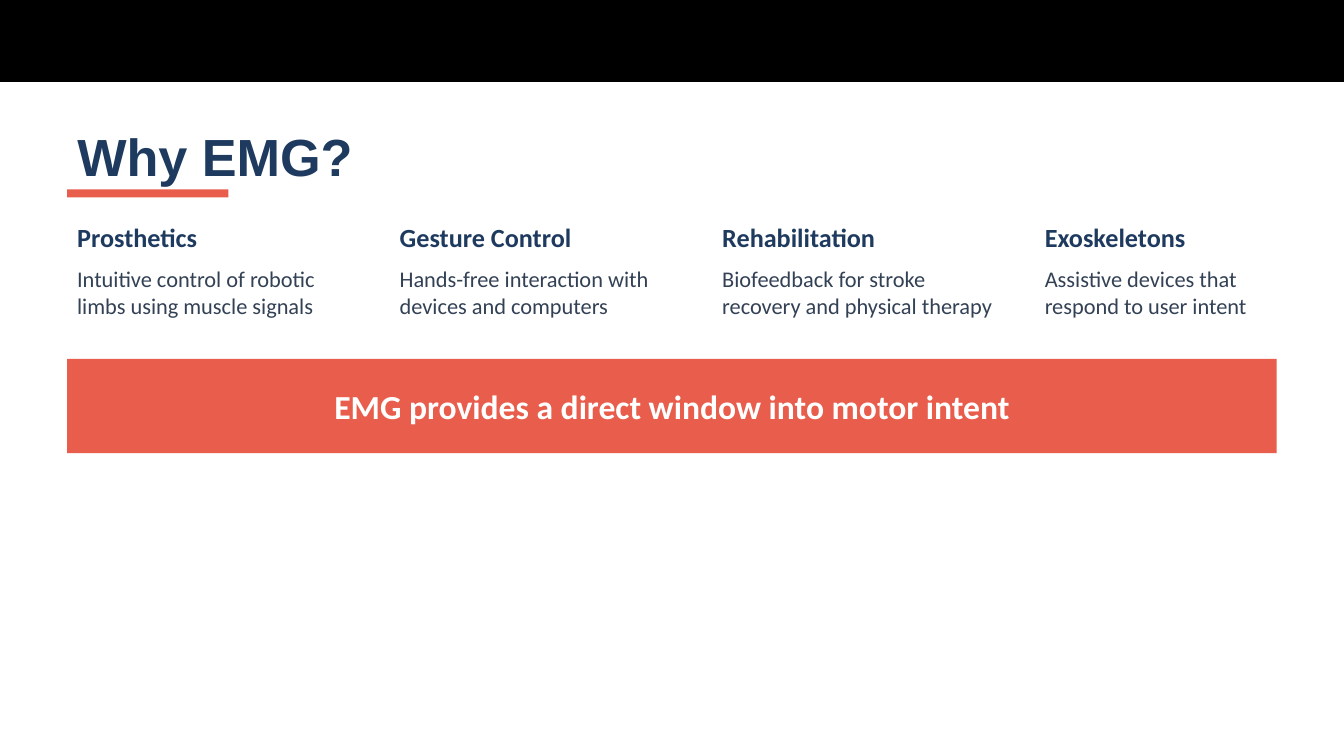
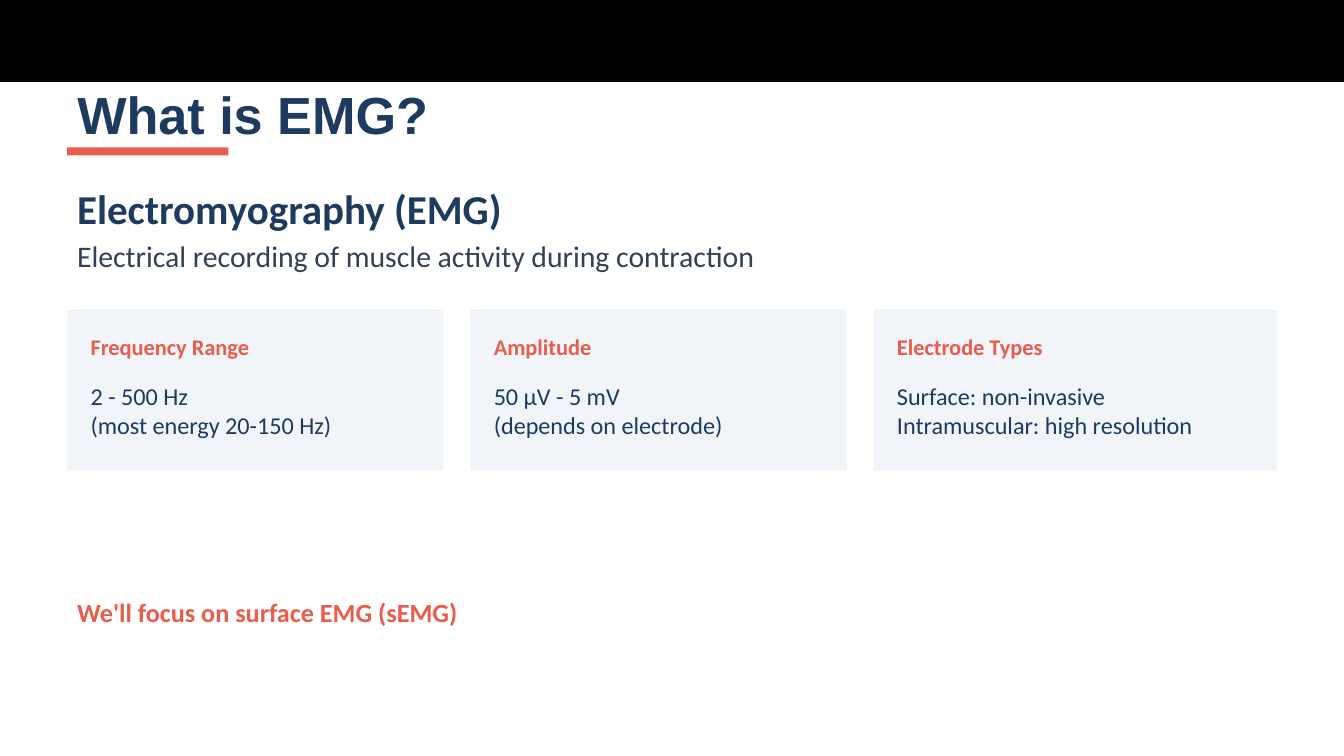
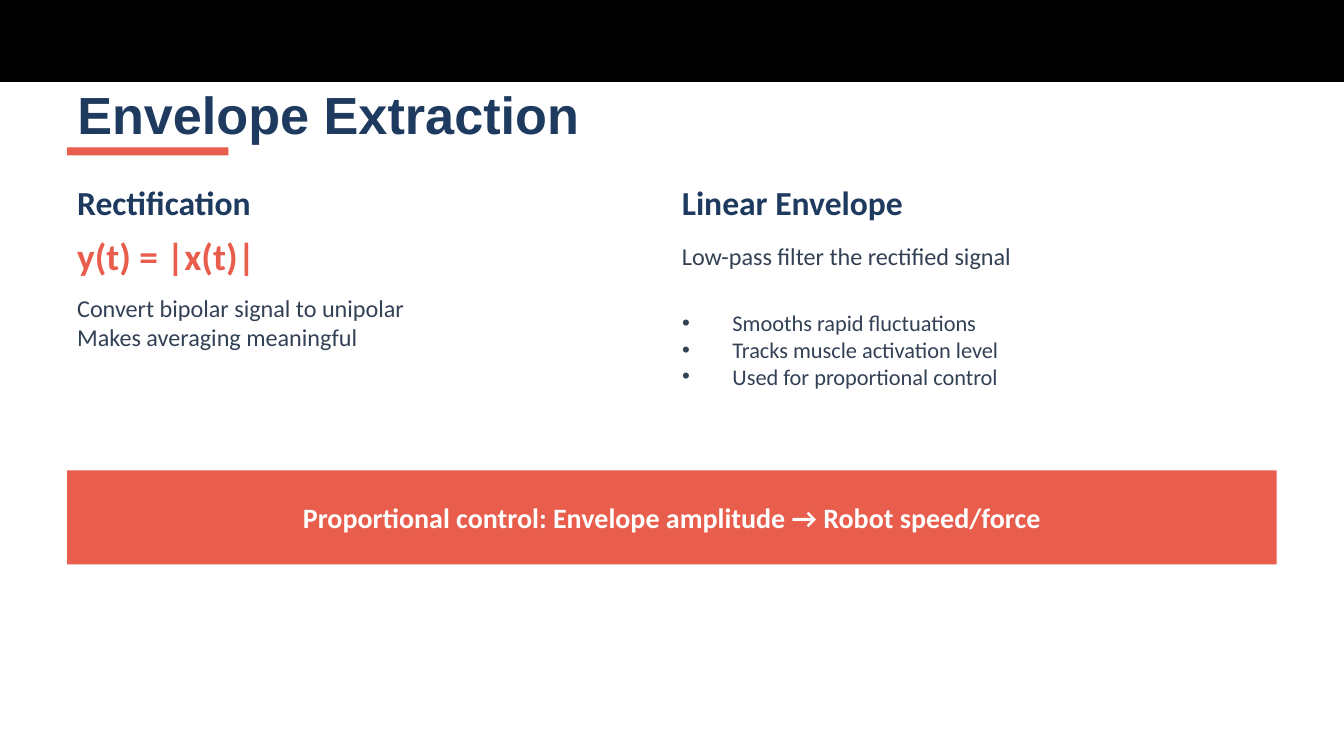
from pptx import Presentation
from pptx.dml.color import RGBColor
from pptx.enum.shapes import MSO_SHAPE
from pptx.enum.text import MSO_ANCHOR, MSO_AUTO_SIZE, PP_ALIGN
from pptx.util import Pt

RECTANGLE = MSO_SHAPE.RECTANGLE
MIDDLE = MSO_ANCHOR.MIDDLE
NO_AUTOFIT = MSO_AUTO_SIZE.NONE
LEFT, CENTER = PP_ALIGN.LEFT, PP_ALIGN.CENTER

NAVY, CORAL, SLATE = "1E3A5F", "E85D4C", "334155"
MIST, WHITE, BLACK = "F1F5F9", "FFFFFF", "000000"

PAGE_WIDTH, PAGE_HEIGHT = 960, 540
MARGIN = 48
CONTENT_WIDTH = PAGE_WIDTH - 2 * MARGIN
TITLE_LAYOUT, LIST_LAYOUT = 5, 1


def color(hex_text):
    return RGBColor.from_string(hex_text)


def write(box, text, size=16, ink=SLATE, bold=False, font="Calibri", align=LEFT):
    """Fill a shape with one paragraph per line of text."""
    frame = box.text_frame
    frame.word_wrap = True
    frame.auto_size = NO_AUTOFIT
    frame.vertical_anchor = MIDDLE
    for index, line in enumerate(text.split("\n")):
        para = frame.add_paragraph() if index else frame.paragraphs[0]
        para.alignment = align
        para.space_before = Pt(0)
        span = para.add_run()
        span.text = line
        span.font.name = font
        span.font.size = Pt(size)
        span.font.bold = bold
        span.font.color.rgb = color(ink)


def place(box, left, top, width, height):
    box.left, box.top = Pt(left), Pt(top)
    box.width, box.height = Pt(width), Pt(height)


class SlideBuilder:
    def __init__(self):
        self.deck = Presentation()
        self.deck.slide_width = Pt(PAGE_WIDTH)
        self.deck.slide_height = Pt(PAGE_HEIGHT)
        self.page = None

    def add_page(self, title, top=52.6, layout=TITLE_LAYOUT):
        """Start a slide with the top band, its title and the underline."""
        self.page = self.deck.slides.add_slide(self.deck.slide_layouts[layout])
        self.rectangle(0, 0, PAGE_WIDTH, 58.5, BLACK)
        heading = self.page.shapes.title
        place(heading, MARGIN, top, CONTENT_WIDTH, 57.6)
        write(heading, title, size=37.3, ink=NAVY, bold=True, font="Arial")
        # The band was drawn after the placeholder; bring the title above it.
        self.page.shapes.element.append(heading.element)
        self.rectangle(MARGIN, top + 52.6, 115.2, 5.76, CORAL)

    def rectangle(self, left, top, width, height, fill):
        box = self.page.shapes.add_shape(
            RECTANGLE, Pt(left), Pt(top), Pt(width), Pt(height))
        box.shadow.inherit = False
        box.fill.solid()
        box.fill.fore_color.rgb = color(fill)
        box.line.fill.background()
        return box

    def text(self, text, left, top, width, height, **style):
        box = self.page.shapes.add_textbox(
            Pt(left), Pt(top), Pt(width), Pt(height))
        write(box, text, **style)

    def banner(self, text, top, size):
        box = self.rectangle(MARGIN, top, CONTENT_WIDTH, 67.2, CORAL)
        write(box, text, size=size, ink=WHITE, bold=True, align=CENTER)

    def bullets(self, text, left, top, width, height, **style):
        box = self.page.placeholders[1]
        place(box, left, top, width, height)
        write(box, text, **style)
        for properties in box.element.xpath(".//a:pPr"):
            properties.set("marL", str(Pt(36)))
            properties.set("indent", str(-Pt(36)))

    def card(self, label, text, left, top, width):
        pad = 9.6
        inner = width - 2 * pad
        self.rectangle(left, top, width, 115.2, MIST)
        self.text(label, left + pad, top + pad, inner, 33.6, ink=CORAL, bold=True)
        self.text(text, left + pad, top + 38.4, inner, 67.2, size=17.3, ink=NAVY)


def build_why(slides):
    slides.add_page("Why EMG?", top=82.6)
    uses = [
        ("Prosthetics", "Intuitive control of robotic limbs using muscle signals", 211.2),
        ("Gesture Control", "Hands-free interaction with devices and computers", 211.2),
        ("Rehabilitation", "Biofeedback for stroke recovery and physical therapy", 211.2),
        ("Exoskeletons", "Assistive devices that respond to user intent", 192),
    ]
    for index, (name, benefit, width) in enumerate(uses):
        left = MARGIN + index * 230.4
        slides.text(name, left, 150.4, width, 38.4, size=18.7, ink=NAVY, bold=True)
        slides.text(benefit, left, 184.4, width, 48)
    slides.banner("EMG provides a direct window into motor intent", 256.4, size=24)


def build_what(slides):
    slides.add_page("What is EMG?")
    slides.text("Electromyography (EMG)", MARGIN, 124.8, CONTENT_WIDTH, 48,
                size=29.3, ink=NAVY, bold=True)
    slides.text("Electrical recording of muscle activity during contraction",
                MARGIN, 163.2, CONTENT_WIDTH, 38.4, size=21.3)
    facts = [
        ("Frequency Range", "2 - 500 Hz\n(most energy 20-150 Hz)", 268.8),
        ("Amplitude", "50 µV - 5 mV\n(depends on electrode)", 268.8),
        ("Electrode Types", "Surface: non-invasive\nIntramuscular: high resolution", 288),
    ]
    for index, (label, fact, width) in enumerate(facts):
        slides.card(label, fact, MARGIN + index * 288, 220.8, width)
    slides.text("We'll focus on surface EMG (sEMG)", MARGIN, 412.8, CONTENT_WIDTH, 48,
                size=18.7, ink=CORAL, bold=True)


def build_envelope(slides):
    slides.add_page("Envelope Extraction", layout=LIST_LAYOUT)
    columns = [("Rectification", MARGIN, 384), ("Linear Envelope", 480, 432)]
    for heading, left, width in columns:
        slides.text(heading, left, 124.8, width, 38.4, size=24, ink=NAVY, bold=True)
    slides.text("y(t) = |x(t)|", MARGIN, 163.2, 384, 38.4,
                size=26.7, ink=CORAL, bold=True)
    slides.text("Convert bipolar signal to unipolar\nMakes averaging meaningful",
                MARGIN, 201.6, 384, 57.6, size=17.3)
    slides.text("Low-pass filter the rectified signal", 480, 163.2, 432, 38.4, size=17.3)
    slides.bullets("Smooths rapid fluctuations\nTracks muscle activation level\n"
                   "Used for proportional control", 480, 192, 432, 115.2)
    slides.banner("Proportional control: Envelope amplitude → Robot speed/force",
                  336, size=20)


def main():
    slides = SlideBuilder()
    build_why(slides)
    build_what(slides)
    build_envelope(slides)
    slides.deck.save("out.pptx")


if __name__ == "__main__":
    main()
